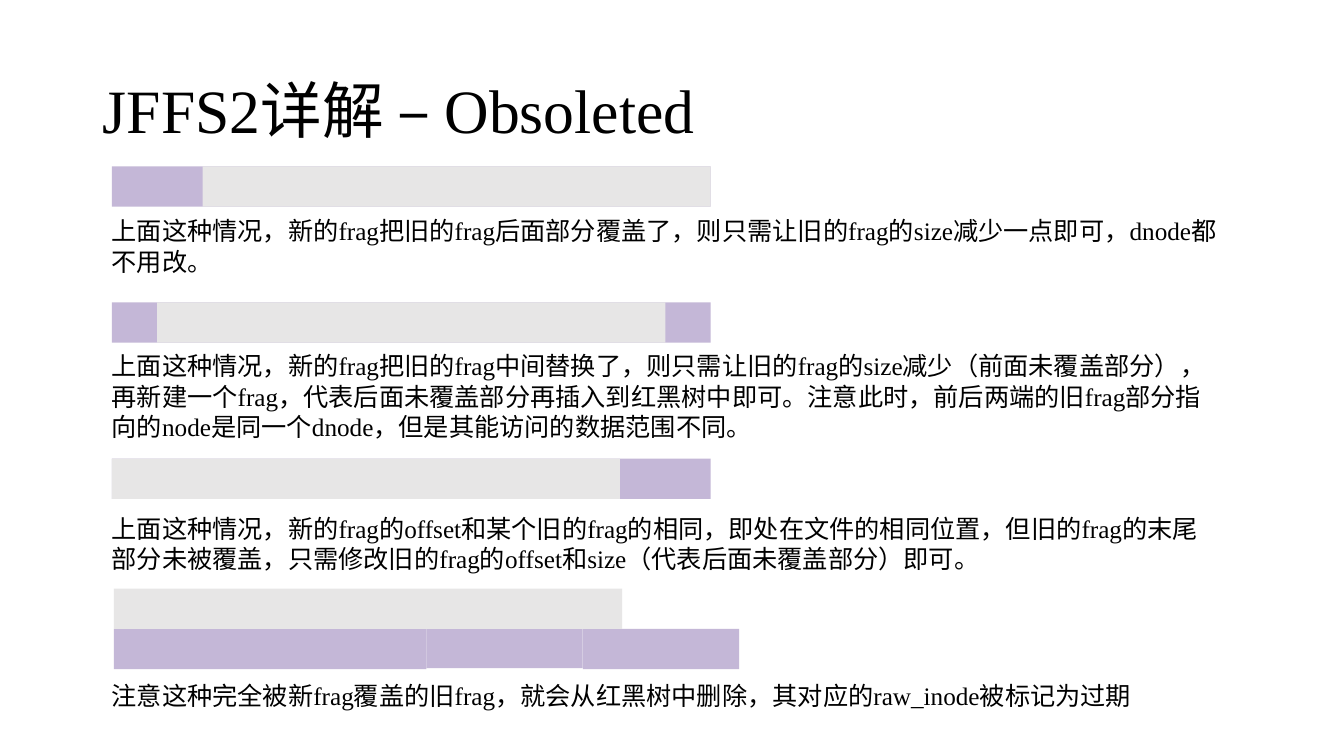
import dataclasses

import pptx
import pptx.dml.color
import pptx.enum.shapes
import pptx.enum.text
import pptx.util

Inches = pptx.util.Inches
Pt = pptx.util.Pt
Color = pptx.dml.color.RGBColor.from_string
Align = pptx.enum.text.PP_ALIGN
Anchor = pptx.enum.text.MSO_ANCHOR
Fit = pptx.enum.text.MSO_AUTO_SIZE


@dataclasses.dataclass
class Theme:
    face: str = "Times New Roman"
    ink: str = "000000"
    old: str = "C4B7D7"
    new: str = "E7E6E6"
    head: int = 44
    body: int = 18


def apply(thing, values):
    for name, value in values.items():
        setattr(thing, name, value)


class Deck:
    """Builds slides in one theme."""

    def __init__(self, theme):
        self.theme = theme
        self.show = pptx.Presentation()
        apply(self.show, {"slide_width": Inches(13.33), "slide_height": Inches(7.5)})
        self.slide = self.show.slides.add_slide(self.show.slide_layouts[5])

    def label(self, frame, text, size, frame_format, line_format):
        apply(frame, {"word_wrap": True, **frame_format})
        line = frame.paragraphs[0]
        run = line.add_run()
        run.text = text
        apply(line, {"alignment": Align.LEFT, **line_format})
        apply(run.font, {"name": self.theme.face, "size": Pt(size)})
        run.font.color.rgb = Color(self.theme.ink)

    def title(self, text, left, top, width, height):
        shape = self.slide.shapes.title
        apply(shape, {"left": Inches(left), "top": Inches(top),
                      "width": Inches(width), "height": Inches(height)})
        self.label(shape.text_frame, text, self.theme.head,
                   {"vertical_anchor": Anchor.MIDDLE, "auto_size": Fit.NONE},
                   {"line_spacing": 0.9})

    def note(self, text, left, top, width, height):
        box = self.slide.shapes.add_textbox(
            Inches(left), Inches(top), Inches(width), Inches(height))
        self.label(box.text_frame, text, self.theme.body,
                   {"auto_size": Fit.SHAPE_TO_FIT_TEXT}, {})

    def bar(self, color, left, top, width, height=0.4):
        bar = self.slide.shapes.add_shape(
            pptx.enum.shapes.MSO_SHAPE.RECTANGLE,
            Inches(left), Inches(top), Inches(width), Inches(height))
        bar.shadow.inherit = False
        bar.fill.solid()
        bar.fill.fore_color.rgb = Color(color)
        bar.line.fill.background()


def main():
    theme = Theme()
    deck = Deck(theme)
    deck.title("JFFS2详解 – Obsoleted", 0.92, 0.4, 11.5, 1.45)

    left, old_width, new_width = 1.11, 5.94, 5.04
    for top, shift in ((1.65, 0.9), (3, 0.45), (4.55, 0)):
        deck.bar(theme.old, left, top, old_width)
        deck.bar(theme.new, left + shift, top, new_width)

    left, part = 1.13, 1.55
    for index, top in enumerate((6.24, 6.24, 6.23, 6.24)):
        deck.bar(theme.old, left + index * part, top, part)
    deck.bar(theme.new, left, 5.84, new_width)

    notes = (
        (2.09, 11.16, 0.71, "上面这种情况，新的frag把旧的frag后面部分覆盖了，则只需让旧的frag的size减少一点即可，dnode都不用改。"),
        (3.43, 11.07, 1.01, "上面这种情况，新的frag把旧的frag中间替换了，则只需让旧的frag的size减少（前面未覆盖部分），再新建一个frag，代表后面未覆盖部分再插入到红黑树中即可。注意此时，前后两端的旧frag部分指向的node是同一个dnode，但是其能访问的数据范围不同。"),
        (5.04, 11.07, 0.71, "上面这种情况，新的frag的offset和某个旧的frag的相同，即处在文件的相同位置，但旧的frag的末尾部分未被覆盖，只需修改旧的frag的offset和size（代表后面未覆盖部分）即可。"),
        (6.7, 11.07, 0.4, "注意这种完全被新frag覆盖的旧frag，就会从红黑树中删除，其对应的raw_inode被标记为过期"),
    )
    for top, width, height, text in notes:
        deck.note(text, 1.01, top, width, height)

    deck.show.save("out.pptx")


if __name__ == "__main__":
    main()
